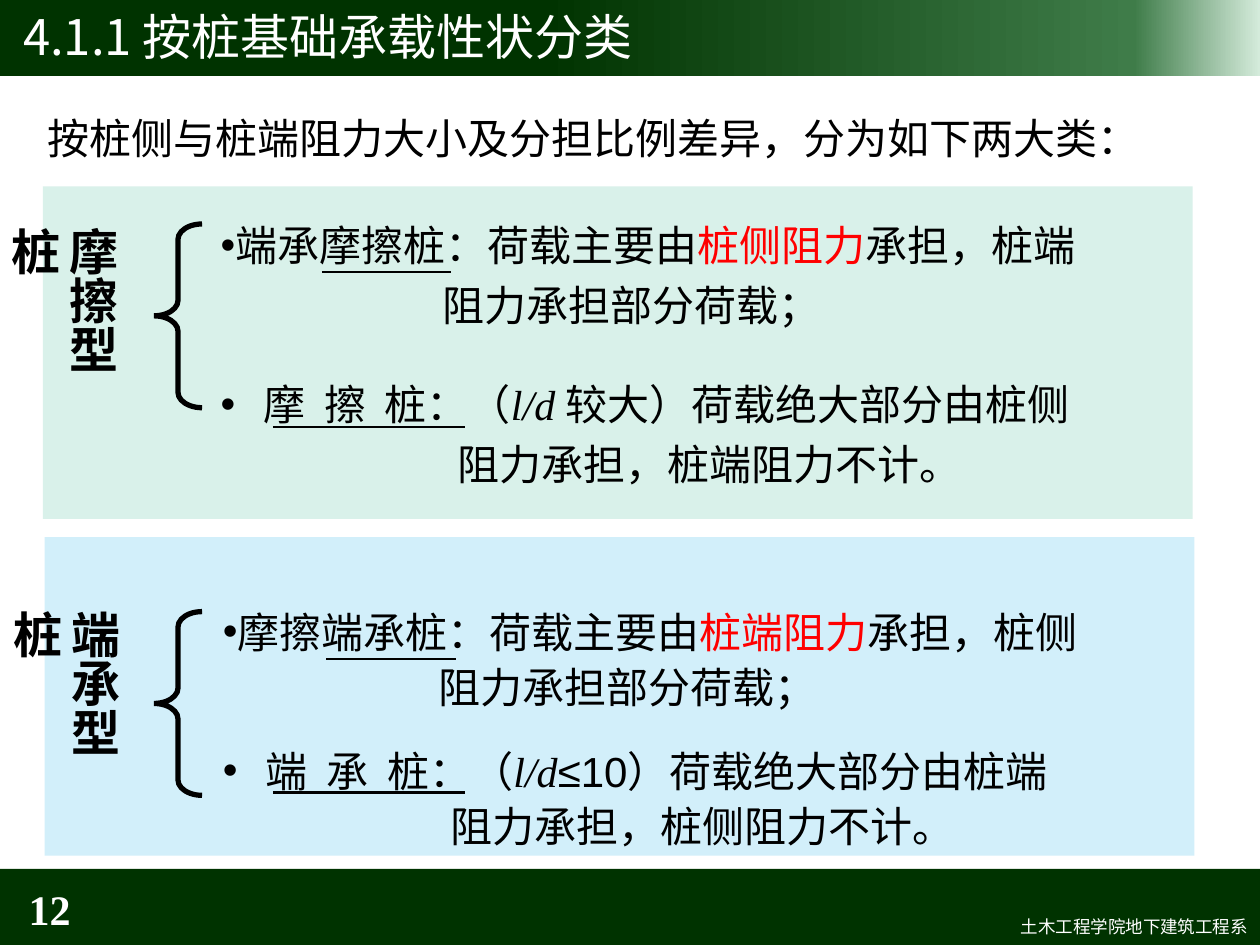
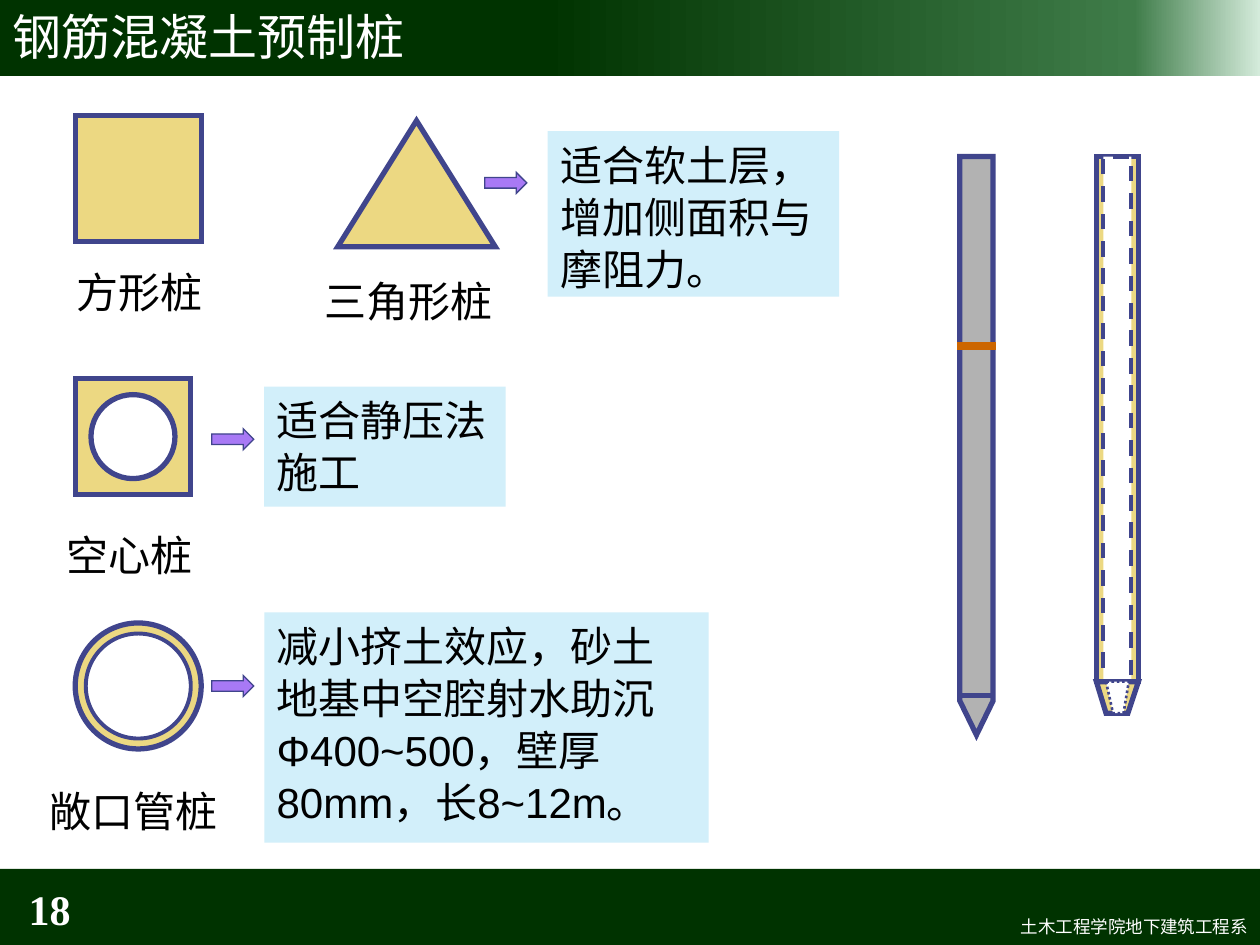
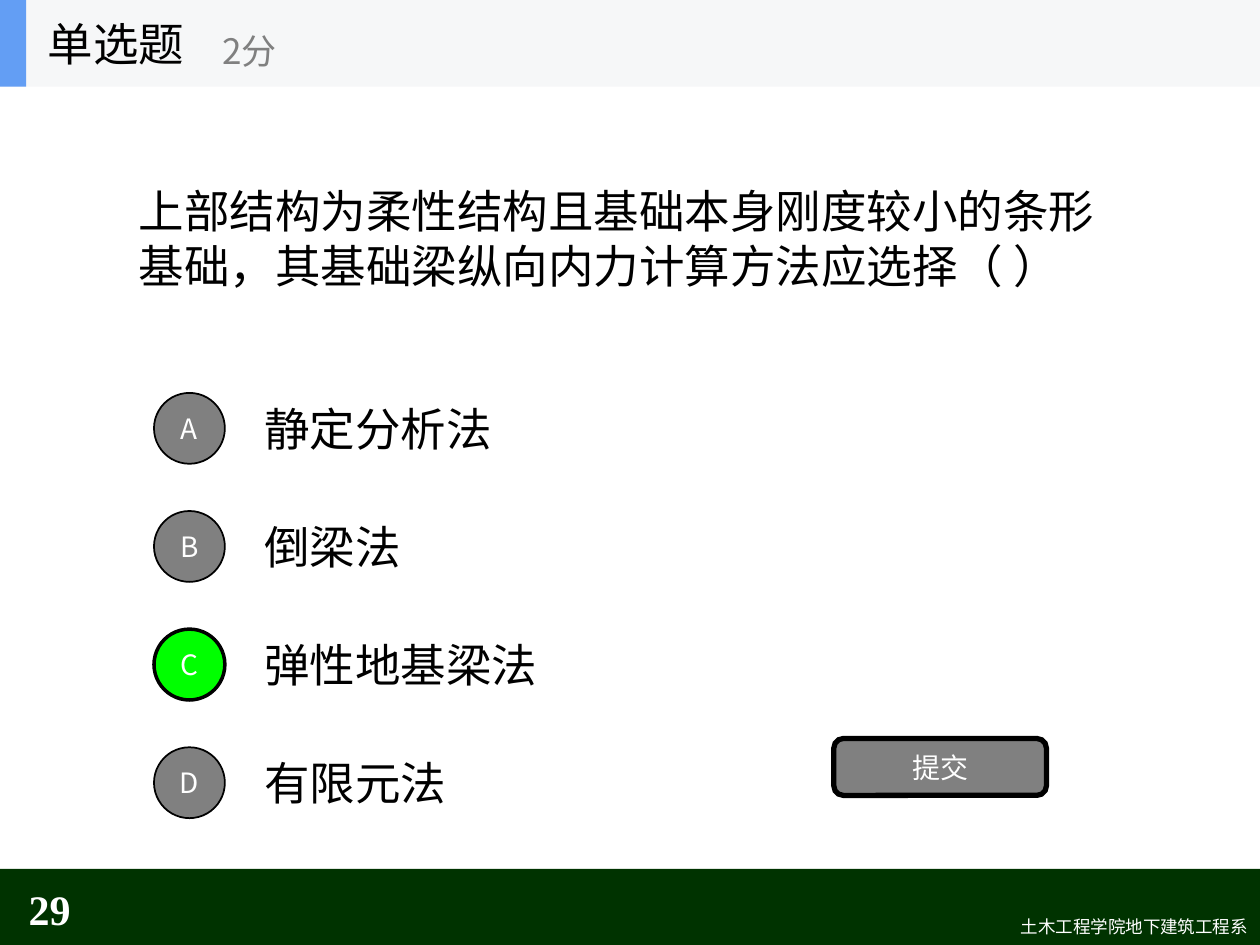
from copy import deepcopy

from pptx import Presentation
from pptx.dml.color import RGBColor
from pptx.enum.dml import MSO_LINE as DASH
from pptx.enum.shapes import MSO_CONNECTOR as CONN, MSO_SHAPE as SHP
from pptx.enum.text import MSO_ANCHOR as ANC, MSO_AUTO_SIZE as FIT, PP_ALIGN as AL
from pptx.oxml.ns import qn
from pptx.oxml.xmlchemy import OxmlElement as Tag
from pptx.util import Pt

ARIAL, SANS, TIMES = "Arial", "Noto Sans CJK SC", "Times New Roman"
BLACK, WHITE, RED, GREY = "000000", "FFFFFF", "FF0000", "808080"
GREEN, MINT, SKY = "003300", "D9F1EA", "D2EFFA"
SAND, NAVY, VIOLET, STEEL = "ECD882", "40458C", "A879F5", "B2B2B2"
BAND = [(0.43, GREEN), (0.9, "3F7C49"), (1, "D4EBDB")]
TITLE_BOX = (0, -2, 720, 45)


def rgb(color):
    return RGBColor.from_string(color)


class Deck:
    def __init__(self):
        self.prs = Presentation()
        self.prs.slide_width, self.prs.slide_height = Pt(720), Pt(540)
        self.s = None

    def slide(self, layout, number):
        self.s = self.prs.slides.add_slide(self.prs.slide_layouts[layout])
        if len(self.prs.slides) == 1:
            self.furnish_master()
        self.text((0, 504.5, 47.5, 29), number, font=TIMES, color=WHITE,
                  bold=True, align=AL.RIGHT)

    def furnish_master(self):
        top = self.shape(SHP.RECTANGLE, (0, -2, 720, 45.5), GREEN)
        top.fill.gradient()
        top.fill.gradient_angle = 0
        stops = top.element.spPr.find(".//" + qn("a:gsLst"))
        stops.append(deepcopy(stops[0]))
        for stop, (position, color) in zip(top.fill.gradient_stops, BAND):
            stop.position = position
            stop.color.rgb = rgb(color)
        bottom = self.shape(SHP.RECTANGLE, (0, 496.5, 720, 45.5), GREEN)
        footer = self.text((303, 520, 417, 19.5), "土木工程学院地下建筑工程系", 10,
                           font=SANS, color=WHITE, align=AL.RIGHT)
        tree = self.prs.slide_master.shapes.element
        for i, sp in enumerate((top, bottom, footer)):
            sp.element.nvSpPr.cNvPr.set("id", str(100 + i))
            tree.insert(2 + i, sp.element)

    def set_text(self, sp, paras, size=24, font=ARIAL, color=BLACK, bold=False,
                 align=AL.LEFT, anchor=ANC.MIDDLE, wrap=True, pitch=None):
        tf = sp.text_frame
        tf.auto_size, tf.word_wrap, tf.vertical_anchor = FIT.NONE, wrap, anchor
        for i, runs in enumerate([paras] if isinstance(paras, str) else paras):
            p = tf.paragraphs[0] if i == 0 else tf.add_paragraph()
            p.alignment, p.space_before = align, Pt(0)
            if pitch:
                p.line_spacing = Pt(pitch)
            for part in [runs] if isinstance(runs, str) else runs:
                text, look = (part, {}) if isinstance(part, str) else part
                r = p.add_run()
                r.text = text
                r.font.size, r.font.bold = Pt(size), bold
                r.font.italic = look.get("italic", False)
                r.font.name = look.get("font", font)
                r.font.color.rgb = rgb(look.get("color", color))
                rPr = r.font._element
                rPr.append(Tag("a:ea"))
                rPr[-1].set("typeface", SANS)
                if "spread" in look:
                    rPr.set("spc", str(round(look["spread"] * 100)))
        return sp

    def text(self, box, paras, size=24, **look):
        return self.set_text(self.s.shapes.add_textbox(*map(Pt, box)), paras, size, **look)

    def vertical(self, box, text):
        sp = self.text(box, text, 28, font=TIMES, bold=True, anchor=ANC.TOP, pitch=33)
        sp.text_frame.auto_size = FIT.SHAPE_TO_FIT_TEXT
        sp.text_frame._txBody.bodyPr.set("vert", "eaVert")

    def place(self, idx, box, paras, size, **look):
        ph = self.s.placeholders[idx]
        ph.left, ph.top, ph.width, ph.height = map(Pt, box)
        self.s.shapes.element.append(ph.element)
        return self.set_text(ph, paras, size, **look)

    def indent(self, p, margin, bulleted=False):
        pPr = p._p.get_or_add_pPr()
        pPr.set("marL", str(Pt(margin)))
        pPr.set("indent", str(Pt(-margin if bulleted else 0)))
        if not bulleted:
            pPr.append(Tag("a:buNone"))

    def title(self, text, box=TITLE_BOX, size=28, color=WHITE, margin=0):
        ph = self.place(0, box, text, size, font=SANS, color=color)
        self.indent(ph.text_frame.paragraphs[0], margin)

    def bullets(self, idx, box, rows, margins, pitch, gap):
        ph = self.place(idx, box, rows, 24, anchor=ANC.TOP, pitch=pitch)
        for i, (p, margin) in enumerate(zip(ph.text_frame.paragraphs, margins)):
            self.indent(p, margin, i % 2 == 0)
            if i == 2:
                p.space_before = Pt(gap)

    def paint(self, sp, fill=None, line=None, width=3, dash=None):
        sp.shadow.inherit = False
        if fill:
            sp.fill.solid()
            sp.fill.fore_color.rgb = rgb(fill)
        else:
            sp.fill.background()
        if not line:
            sp.line.fill.background()
            return sp
        sp.line.color.rgb = rgb(line)
        sp.line.width = Pt(width)
        if dash:
            sp.line.dash_style = dash
        miter = Tag("a:miter")
        miter.set("lim", "800000")
        sp.element.spPr.find(qn("a:ln")).append(miter)
        return sp

    def shape(self, kind, box, fill=None, line=None, width=3, dash=None):
        sp = self.s.shapes.add_shape(kind, *map(Pt, box))
        return self.paint(sp, fill, line, width, dash)

    def outline(self, points, fill, line, width=3, dash=None):
        points = [(Pt(x), Pt(y)) for x, y in points]
        builder = self.s.shapes.build_freeform(*points[0])
        builder.add_line_segments(points[1:], close=True)
        return self.paint(builder.convert_to_shape(), fill, line, width, dash)

    def rule(self, x1, x2, y, color=BLACK, width=1.5):
        c = self.s.shapes.add_connector(CONN.STRAIGHT, *map(Pt, (x1, y, x2, y)))
        c.line.color.rgb = rgb(color)
        c.line.width = Pt(width)
        c.element.spPr.append(Tag("a:effectLst"))


def classification(d):
    d.slide(3, "12")
    d.shape(SHP.RECTANGLE, (24.5, 106.5, 657, 190), MINT)
    d.shape(SHP.RECTANGLE, (25.5, 307, 657, 182), SKY)
    d.title("4.1.1 按桩基础承载性状分类", margin=6)
    d.text((20, 60.5, 641.5, 36), "按桩侧与桩端阻力大小及分担比例差异，分为如下两大类：", wrap=False)

    red, ratio = {"color": RED}, {"font": TIMES, "italic": True}
    spread = {"spread": 10.8}
    d.bullets(1, (118.8, 116.5, 560, 170), [
        ["端承摩擦桩：荷载主要由", ("桩侧阻力", red), "承担，桩端"],
        "阻力承担部分荷载；",
        [("摩擦", spread), "桩：（", ("l/d ", ratio), "较大）荷载绝大部分由桩侧"],
        "阻力承担，桩端阻力不计。",
    ], (8.4, 127, 24.4, 135.5), 34.3, 22.3)
    d.bullets(2, (120.2, 340, 560, 146), [
        ["摩擦端承桩：荷载主要由", ("桩端阻力", red), "承担，桩侧"],
        "阻力承担部分荷载；",
        [("端承", spread), "桩：（", ("l/d", ratio), "≤10）荷载绝大部分由桩端"],
        "阻力承担，桩侧阻力不计。",
    ], (8.4, 123.3, 24.4, 129.8), 31.5, 16.5)

    for label, x, y, brace_y in (("摩擦型桩", 24.5, 123, 128), ("端承型桩", 25.5, 342, 349.5)):
        d.vertical((x, y, 48, 124.5), label)
        brace = d.shape(SHP.LEFT_BRACE, (88, brace_y, 27.5, 105), line=BLACK)
        brace.adjustments[0] = 0.32
    for x1, x2, y in ((184, 258, 155.5), (156, 265.5, 244),
                      (186.5, 260.5, 376.5), (156, 265.5, 453)):
        d.rule(x1, x2, y)


def precast_piles(d):
    d.slide(5, "18")
    d.title("钢筋混凝土预制桩")

    d.shape(SHP.RECTANGLE, (626.5, 89.5, 24, 300), SAND, NAVY)
    d.shape(SHP.RECTANGLE, (630.5, 89.5, 16, 300), WHITE, NAVY, 2.25, DASH.DASH)
    d.outline([(626.5, 389.5), (632, 407.5), (644.5, 407.5), (650.5, 389.5)], SAND, NAVY)
    d.outline([(632, 389.5), (636, 407.5), (642, 407.5), (645, 389.5)],
              WHITE, NAVY, 1.5, DASH.ROUND_DOT)
    d.outline([(548.5, 89.5), (548.5, 400.5), (558, 420), (567.5, 400.5), (567.5, 89.5)],
              STEEL, NAVY)
    d.rule(548.5, 567.5, 397.5, NAVY, 3)
    d.rule(547, 569, 197.5, "CC6600", 4.5)

    for kind, box, fill, width in (
        (SHP.RECTANGLE, (43, 66, 72, 72), SAND, 3),
        (SHP.ISOSCELES_TRIANGLE, (193, 69, 90, 72), SAND, 3),
        (SHP.RECTANGLE, (43, 216.5, 66, 66), SAND, 3),
        (SHP.OVAL, (52, 225.5, 48, 48), WHITE, 3),
        (SHP.OVAL, (43, 356, 72, 72), SAND, 3),
        (SHP.OVAL, (49, 362, 60, 60), WHITE, 2.25),
    ):
        d.shape(kind, box, fill, NAVY, width)
    for name, x, y, w in (("方形桩", 36.5, 148.5, 87), ("三角形桩", 178.5, 154, 111),
                          ("空心桩", 31, 299, 87), ("敞口管桩", 21, 445.5, 111)):
        d.text((x, y, w, 36), name, wrap=False)
    for box, lines in (
        ((313, 75, 166.5, 94.5), "适合软土层，增加侧面积与摩阻力。"),
        ((151, 221, 138, 68.5), ["适合静压法", "施工"]),
        ((151, 350, 254, 131.5),
         ["减小挤土效应，砂土", "地基中空腔射水助沉", "Φ400~500，壁厚", "80mm，长8~12m。"]),
    ):
        d.set_text(d.shape(SHP.RECTANGLE, box, SKY), lines, anchor=ANC.TOP, pitch=29.8)
    for x, y in ((277, 98.5), (121, 245), (121, 386)):
        d.shape(SHP.RIGHT_ARROW, (x, y, 24, 12), VIOLET, NAVY, 0.75)


def quiz(d):
    d.slide(1, "29")
    d.shape(SHP.RECTANGLE, (0, 0, 720, 49.5), "F6F7F8")
    d.shape(SHP.RECTANGLE, (0, 0, 15, 49.5), "639EF4")
    d.title("单选题", (20, 0, 150, 49.5), 26, BLACK)
    d.text((120, 8.5, 180, 40.5), "2分", 20, font=SANS, color=GREY)
    question = d.place(1, (72, 52, 576, 168), "上部结构为柔性结构且基础本身刚度较小的条形"
                       "基础，其基础梁纵向内力计算方法应选择（ ）", 26, font=SANS, pitch=31)
    d.indent(question.text_frame.paragraphs[0], 0)

    answers = ("静定分析法", "倒梁法", "弹性地基梁法", "有限元法")
    for i, (letter, answer) in enumerate(zip("ABCD", answers)):
        y = 219.5 + 67.5 * i
        d.text((144, y, 504, 50.5), answer, 26, font=SANS)
        fill, width = ("00FF00", 2) if letter == "C" else (GREY, 1)
        badge = d.shape(SHP.OVAL, (88, y + 5, 40.5, 40.5), fill, BLACK, width)
        d.set_text(badge, letter, 16, font=SANS, color=WHITE, align=AL.CENTER)
    button = d.shape(SHP.ROUNDED_RECTANGLE, (476.5, 422, 121.5, 32.5), GREY, BLACK)
    d.set_text(button, "提交", 16, font=SANS, color=WHITE, align=AL.CENTER)


def main():
    d = Deck()
    classification(d)
    precast_piles(d)
    quiz(d)
    d.prs.save("out.pptx")


if __name__ == "__main__":
    main()
